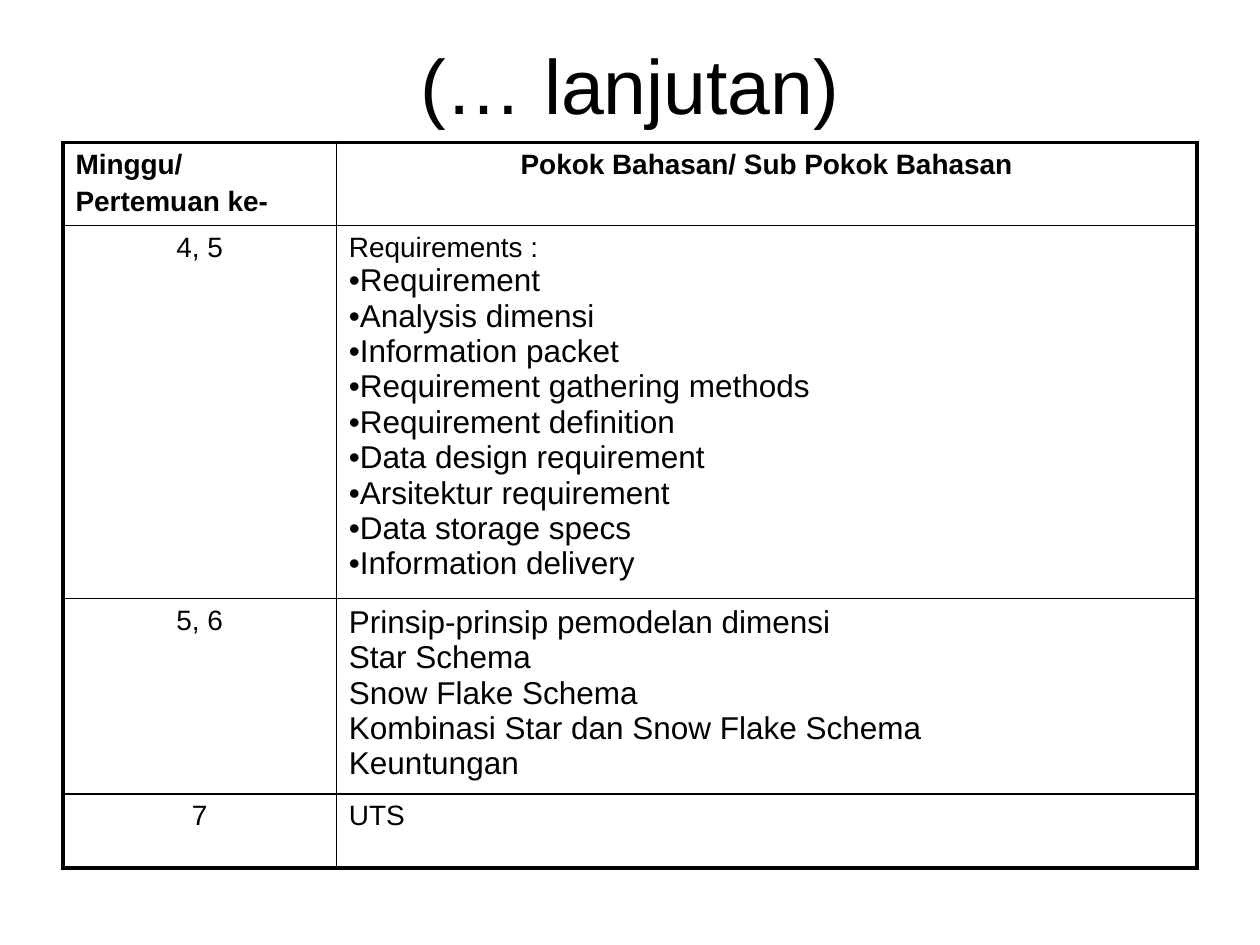
from dataclasses import dataclass

from lxml.etree import SubElement
from pptx import Presentation
from pptx.dml.color import RGBColor
from pptx.enum.text import MSO_ANCHOR, PP_ALIGN
from pptx.oxml import parse_xml
from pptx.oxml.ns import qn
from pptx.util import Inches, Pt

W, H = Inches(10), Inches(7.5)
NS = "http://schemas.openxmlformats.org/drawingml/2006/main"


@dataclass(frozen=True)
class Theme:
    """Hold the colours, font, type sizes, leading and line widths."""
    ink: str = "000000"
    font: str = "Arial"
    title: int = 44
    label: int = 16
    topic: int = 18
    leading: float = 1.12
    outer: float = 2.25
    inner: float = 1


T = Theme()
COLS = (2.17, 6.83)
ROWS = (0.66, 2.96, 1.55, 0.59)
HEAD = dict(size=T.label, bold=True)
LABEL = dict(size=T.label)
TOPIC = dict(size=T.topic)
BULLET = dict(size=T.topic, bullet=True)
CENTER = dict(align=PP_ALIGN.CENTER)

REQUIREMENTS = (
    "Requirement", "Analysis dimensi", "Information packet",
    "Requirement gathering methods", "Requirement definition",
    "Data design requirement", "Arsitektur requirement",
    "Data storage specs", "Information delivery",
)
MODELLING = (
    "Prinsip-prinsip pemodelan dimensi", "Star Schema", "Snow Flake Schema",
    "Kombinasi Star dan Snow Flake Schema", "Keuntungan",
)
SCHEDULE = (
    ([("Minggu/", HEAD), ("Pertemuan ke-", HEAD | dict(before=3.2))],
     [("Pokok Bahasan/ Sub Pokok Bahasan", HEAD | CENTER)]),
    ([("4, 5", LABEL | CENTER)],
     [("Requirements :", LABEL)] + [(t, BULLET) for t in REQUIREMENTS]),
    ([("5, 6", LABEL | CENTER)], [(t, TOPIC) for t in MODELLING]),
    ([("7", LABEL | CENTER)], [("UTS", LABEL)]),
)


def write(tf, lines):
    """Write (text, format) lines into a text frame."""
    for i, (text, fmt) in enumerate(lines):
        p = tf.paragraphs[0] if i == 0 else tf.add_paragraph()
        para = dict(alignment=fmt.get("align", PP_ALIGN.LEFT),
                    line_spacing=Pt(round(fmt["size"] * T.leading, 1)),
                    space_before=Pt(fmt.get("before", 0)))
        for key, value in para.items():
            setattr(p, key, value)
        if fmt.get("bullet"):
            pPr = p._p.get_or_add_pPr()
            pPr.set("marL", "0")
            pPr.set("indent", "0")
            SubElement(pPr, qn("a:buFont")).set("typeface", T.font)
            SubElement(pPr, qn("a:buChar")).set("char", "•")
        r = p.add_run()
        r.text = text
        font = dict(name=T.font, size=Pt(fmt["size"]), bold=fmt.get("bold", False))
        for key, value in font.items():
            setattr(r.font, key, value)
        r.font.color.rgb = RGBColor.from_string(T.ink)


def border(cell, edges):
    """Draw the left, right, top and bottom lines, heavy on outer edges."""
    tcPr = cell._tc.get_or_add_tcPr()
    for i, (side, is_outer) in enumerate(zip("LRTB", edges)):
        width = Pt(T.outer if is_outer else T.inner)
        tcPr.insert(i, parse_xml(
            f'<a:ln{side} xmlns:a="{NS}" w="{width}"><a:solidFill>'
            f'<a:srgbClr val="{T.ink}"/></a:solidFill></a:ln{side}>'))


def add_title(s, x, y, w, h):
    """Place the centred title in its box."""
    tf = s.shapes.add_textbox(x, y, w, h).text_frame
    for key, value in dict(word_wrap=True, vertical_anchor=MSO_ANCHOR.MIDDLE).items():
        setattr(tf, key, value)
    write(tf, [("(… lanjutan)", dict(size=T.title) | CENTER)])


def add_schedule(s, x, y, w, h):
    """Place the schedule table, sharing its box by column and row weights."""
    table = s.shapes.add_table(len(ROWS), len(COLS), x, y, w, h).table
    table.first_row = table.horz_banding = False
    for col, share in zip(table.columns, COLS):
        col.width = int(w * share / sum(COLS))
    for row, share in zip(table.rows, ROWS):
        row.height = int(h * share / sum(ROWS))
    for i, entries in enumerate(SCHEDULE):
        for j, lines in enumerate(entries):
            cell = table.cell(i, j)
            cell.fill.background()
            border(cell, (j == 0, j == len(COLS) - 1, i == 0, i == len(ROWS) - 1))
            write(cell.text_frame, lines)


def main():
    """Build and save the slide."""
    prs = Presentation()
    prs.slide_width, prs.slide_height = W, H
    s = prs.slides.add_slide(prs.slide_layouts[6])
    left, width = int(W * 0.05), int(W * 0.9)
    add_title(s, left, int(H * 4 / 100), width, int(H * 10.4 / 100))
    add_schedule(s, left, int(H * 15.07 / 100), width, Inches(sum(ROWS)))
    prs.save("out.pptx")


if __name__ == "__main__":
    main()
